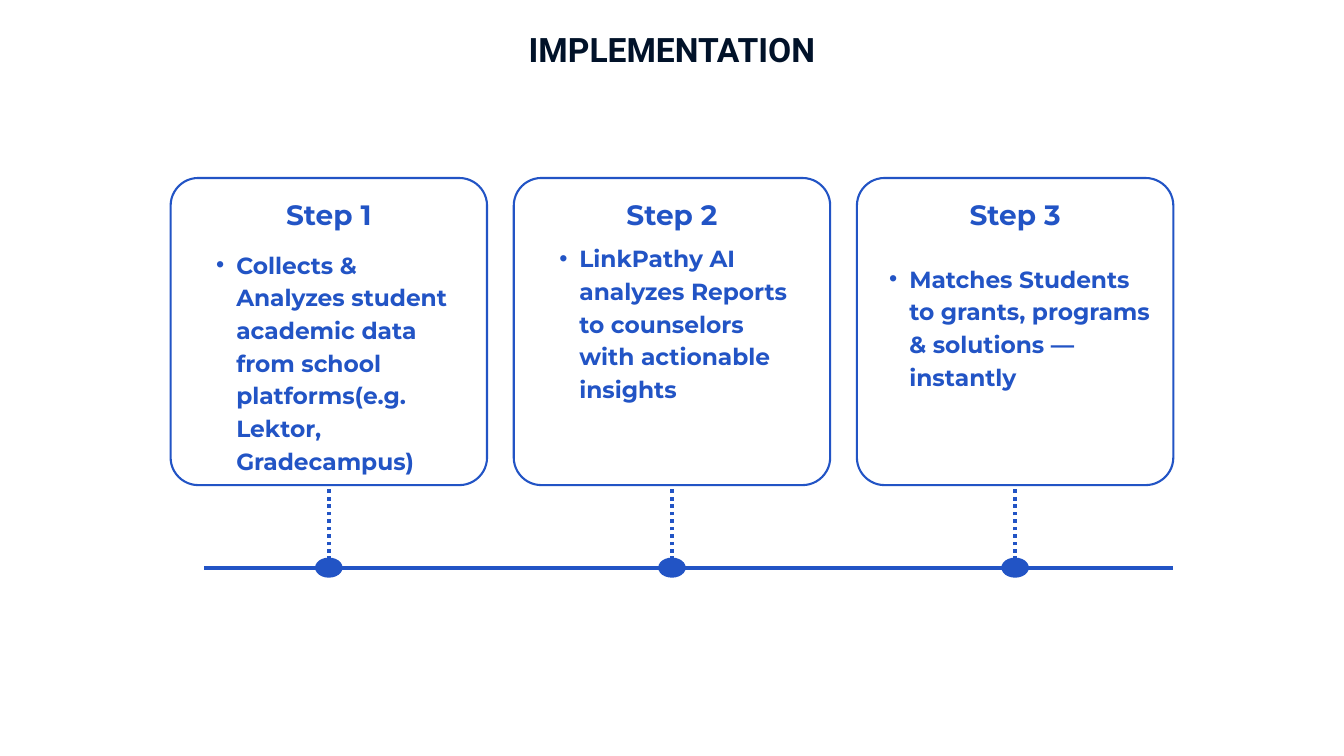
from pptx import Presentation
from pptx.dml.color import RGBColor
from pptx.enum.dml import MSO_LINE
from pptx.enum.shapes import MSO_CONNECTOR, MSO_SHAPE
from pptx.enum.text import MSO_ANCHOR, MSO_AUTO_SIZE, PP_ALIGN
from pptx.oxml.ns import qn
from pptx.util import Cm, Pt
from lxml import etree

STRAIGHT = MSO_CONNECTOR.STRAIGHT
ROUNDED, OVAL = MSO_SHAPE.ROUNDED_RECTANGLE, MSO_SHAPE.OVAL
DOTTED = MSO_LINE.ROUND_DOT
LEFT, CENTER = PP_ALIGN.LEFT, PP_ALIGN.CENTER
BLUE = RGBColor(0x22, 0x54, 0xC5)
NAVY = RGBColor(0x01, 0x12, 0x29)

TITLE_FONT = {"name": "Roboto", "size": Pt(36), "bold": True}
HEADING_FONT = {"name": "Montserrat", "size": Pt(30), "bold": True}
LIST_FONT = {"name": "Montserrat", "size": Pt(25), "bold": True}

# Card grid and timeline, in centimetres
CARD_LEFT, CARD_TOP, CARD_WIDTH, CARD_HEIGHT = 6.45, 6.73, 11.96, 11.61
CARD_PITCH = 12.97
TIMELINE_Y = 21.46
DOT_WIDTH, DOT_HEIGHT = 1.04, 0.76

# Placeholder index, list text, offset from card, top, width, height
STEPS = [
    (1, "Collects & Analyzes student academic data from school "
        "platforms(e.g. Lektor, Gradecampus)", 0.98, 9.3, 10, 9.73),
    (2, "LinkPathy AI analyzes Reports to counselors with actionable insights",
     0.98, 9.07, 10, 7.24),
    (3, "Matches Students to grants, programs & solutions — instantly",
     0.48, 9.83, 11, 5.99),
]
SPARE_PLACEHOLDER = 4


def place(shape, left, top, width, height):
    shape.left, shape.top = Cm(left), Cm(top)
    shape.width, shape.height = Cm(width), Cm(height)


def write(shape, text, font, color, spacing, align=CENTER):
    """Fill a box with one formatted paragraph and return it."""
    frame = shape.text_frame
    settings = {"word_wrap": True, "auto_size": MSO_AUTO_SIZE.NONE,
                "vertical_anchor": MSO_ANCHOR.TOP, "margin_left": 0,
                "margin_right": 0, "margin_top": 0, "margin_bottom": 0}
    for name, value in settings.items():
        setattr(frame, name, value)
    para = frame.paragraphs[0]
    para.alignment = align
    para.line_spacing = Pt(spacing)
    para.space_before = para.space_after = Pt(0)
    span = para.add_run()
    span.text = text
    for name, value in font.items():
        setattr(span.font, name, value)
    span.font.color.rgb = color
    return para


def add_bullet(para):
    properties = para._p.get_or_add_pPr()
    properties.set("marL", str(Cm(1.5)))
    properties.set("indent", str(Cm(-0.76)))
    etree.SubElement(properties, qn("a:buFont")).set("typeface", "Arial")
    etree.SubElement(properties, qn("a:buChar")).set("char", "•")


def add_card(page, left):
    card = page.shapes.add_shape(ROUNDED, Cm(left), Cm(CARD_TOP),
                                 Cm(CARD_WIDTH), Cm(CARD_HEIGHT))
    card.adjustments[0] = 0.09
    card.shadow.inherit = False
    card.fill.background()
    card.line.color.rgb = BLUE
    card.line.width = Pt(2.25)
    return card


def add_line(page, x1, y1, x2, y2):
    line = page.shapes.add_connector(STRAIGHT, Cm(x1), Cm(y1), Cm(x2), Cm(y2))
    line.line.color.rgb = BLUE
    line.line.width = Pt(4)
    etree.SubElement(line._element.spPr, qn("a:effectLst"))
    return line


def add_dot(page, center):
    dot = page.shapes.add_shape(OVAL, Cm(center - DOT_WIDTH / 2),
                                Cm(TIMELINE_Y - DOT_HEIGHT / 2),
                                Cm(DOT_WIDTH), Cm(DOT_HEIGHT))
    dot.shadow.inherit = False
    dot.fill.solid()
    dot.fill.fore_color.rgb = BLUE
    dot.line.fill.background()


def add_step(page, number, index, text, offset, top, width, height):
    left = CARD_LEFT + (number - 1) * CARD_PITCH
    center = left + CARD_WIDTH / 2
    card = add_card(page, left)

    # Heading and list
    heading = page.shapes.add_textbox(Cm(left), Cm(7.26), Cm(CARD_WIDTH), Cm(1.4))
    write(heading, f"Step {number}", HEADING_FONT, BLUE, 42)
    body = page.placeholders[index]
    place(body, left + offset, top, width, height)
    add_bullet(write(body, text, LIST_FONT, BLUE, 35, LEFT))

    # Dotted link from the timeline to the card
    link = add_line(page, center, TIMELINE_Y, center, CARD_TOP + CARD_HEIGHT)
    link.line.dash_style = DOTTED
    link.end_connect(card, 2)
    add_dot(page, center)


def main():
    deck = Presentation()
    deck.slide_width, deck.slide_height = Cm(50.8), Cm(28.58)
    page = deck.slides.add_slide(deck.slide_layouts.get_by_name("Comparison"))
    spare = page.placeholders[SPARE_PLACEHOLDER]._element
    spare.getparent().remove(spare)

    # Title
    title = page.shapes.title
    place(title, 19.15, 1.24, 12.5, 1.45)
    write(title, "IMPLEMENTATION", TITLE_FONT, NAVY, 39.2)

    # Timeline and steps
    add_line(page, 7.72, TIMELINE_Y, 44.35, TIMELINE_Y)
    for number, step in enumerate(STEPS, 1):
        add_step(page, number, *step)

    deck.save("out.pptx")


if __name__ == "__main__":
    main()
